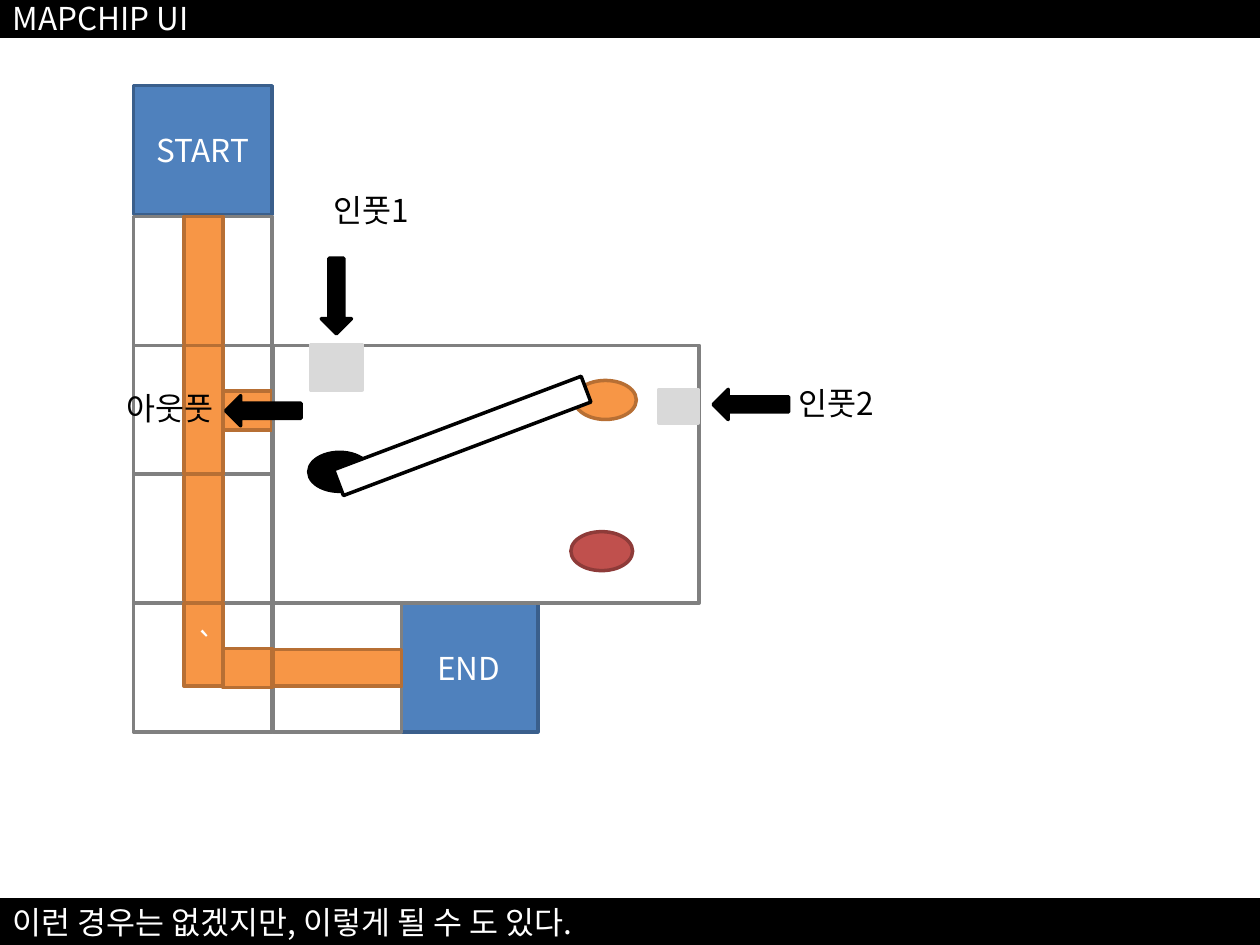
from dataclasses import dataclass

import lxml.etree
import pptx
import pptx.dml.color
import pptx.enum.shapes
import pptx.enum.text
import pptx.oxml.ns
import pptx.util

Pt = pptx.util.Pt
SHAPE = pptx.enum.shapes.MSO_SHAPE
ALIGN = pptx.enum.text.PP_ALIGN
ANCHOR = pptx.enum.text.MSO_ANCHOR
AUTO_SIZE = pptx.enum.text.MSO_AUTO_SIZE

FONT = "Noto Sans CJK KR"
BLACK, WHITE, GREY, LIGHT = "000000", "FFFFFF", "808080", "D9D9D9"
BLUE, DARK_BLUE = "4F81BD", "3A5F8C"
ORANGE, DARK_ORANGE = "F79646", "B76F34"
RED, DARK_RED = "C0504D", "8E3B39"

# Map grid, in points
SLIDE_W, SLIDE_H = 720, 540
LEFT, TOP = 76.3, 123.8
CELL_W, CELL_H = 79.2, 73.6
RIGHT = LEFT + CELL_W
TRACK = 22.3
TRACK_LEFT = LEFT + 28.8
TRACK_RIGHT = TRACK_LEFT + TRACK
BRANCH_DROP = 25.9


@dataclass
class Part:
    left: float
    top: float
    width: float
    height: float
    fill: str
    line: str
    kind: SHAPE = SHAPE.RECTANGLE
    rotation: float = 0
    text: str = ""


@dataclass
class Label:
    text: str
    left: float
    top: float


def color(value: str) -> pptx.dml.color.RGBColor:
    return pptx.dml.color.RGBColor.from_string(value)


def write(frame, text: str, *, ink: str = WHITE, align=ALIGN.LEFT,
          anchor=ANCHOR.MIDDLE, auto_size=AUTO_SIZE.NONE) -> None:
    frame.word_wrap = True
    frame.auto_size = auto_size
    frame.vertical_anchor = anchor
    paragraph = frame.paragraphs[0]
    paragraph.alignment = align
    run = paragraph.add_run()
    run.text = text
    run.font.size = Pt(18)
    run.font.color.rgb = color(ink)
    run.font.name = FONT
    east_asian = lxml.etree.SubElement(run.font._element, pptx.oxml.ns.qn("a:ea"))
    east_asian.set("typeface", FONT)


def paint(shape, fill: str, line: str) -> None:
    shape.fill.solid()
    shape.fill.fore_color.rgb = color(fill)
    shape.line.color.rgb = color(line)
    shape.line.width = Pt(2)


def draw_part(slide, part: Part, align=ALIGN.CENTER) -> None:
    shape = slide.shapes.add_shape(part.kind, Pt(part.left), Pt(part.top),
                                   Pt(part.width), Pt(part.height))
    shape.shadow.inherit = False
    shape.rotation = part.rotation
    paint(shape, part.fill, part.line)
    if part.text:
        write(shape.text_frame, part.text, align=align)


def draw_label(slide, label: Label) -> None:
    box = slide.shapes.add_textbox(Pt(label.left), Pt(label.top), Pt(103), Pt(29))
    write(box.text_frame, label.text, ink=BLACK, anchor=ANCHOR.TOP,
          auto_size=AUTO_SIZE.SHAPE_TO_FIT_TEXT)


def draw_title(slide, text: str) -> None:
    title = slide.shapes.title
    title.left, title.top = Pt(0), Pt(0)
    title.width, title.height = Pt(SLIDE_W), Pt(21)
    paint(title, BLACK, BLACK)
    write(title.text_frame, text)


def row_top(row: int) -> float:
    return TOP + row * CELL_H


def station(left: float, top: float, text: str) -> Part:
    return Part(left, top, CELL_W, CELL_H, BLUE, DARK_BLUE, text=text)


def cell(left: float, row: int, width: float = CELL_W) -> Part:
    return Part(left, row_top(row), width, CELL_H, WHITE, GREY)


def track(left: float, top: float, width: float, height: float, text: str = "") -> Part:
    return Part(left, top, width, height, ORANGE, DARK_ORANGE, text=text)


def upright(row: int, height: float = CELL_H, text: str = "") -> Part:
    return track(TRACK_LEFT, row_top(row), TRACK, height, text)


def branch(row: int) -> Part:
    return track(TRACK_RIGHT, row_top(row) + BRANCH_DROP, RIGHT - TRACK_RIGHT, TRACK)


def terminal(left: float, top: float, width: float, height: float) -> Part:
    return Part(left, top, width, height, LIGHT, LIGHT)


def contact(left: float, top: float, fill: str, line: str) -> Part:
    return Part(left, top, 35.3, 22.3, fill, line, SHAPE.OVAL)


def left_arrow(left: float, top: float) -> Part:
    return Part(left, top, 43.2, 17.3, BLACK, BLACK, SHAPE.LEFT_ARROW)


STATIONS = [station(LEFT, 49, "START"), station(228.2, row_top(3), "END")]

ROUTE = [
    cell(LEFT, 0), upright(0),
    cell(RIGHT + 0.5, 3, CELL_H), track(RIGHT + 0.5, row_top(3) + 26.5, CELL_H, 21),
    cell(LEFT, 2), upright(2),
    cell(LEFT, 3), upright(3, 47.5, "`"), branch(3),
    cell(LEFT, 1), upright(1), branch(1),
]

SWITCH = [
    Part(RIGHT + 0.7, row_top(1), 243.4, 2 * CELL_H, WHITE, GREY),
    terminal(177.5, 196.9, 29.5, 25.9),
    terminal(376.6, 222.5, 22.3, 19.4),
    contact(176.4, 258.5, BLACK, BLACK),
    contact(326.2, 303.8, RED, DARK_RED),
    contact(328.3, 217.4, ORANGE, DARK_ORANGE),
    Part(188.6, 241.2, 151.2, 15.8, WHITE, BLACK, rotation=339.3),
]

ARROWS = [
    Part(183.6, 147.6, 17.3, 43.2, BLACK, BLACK, SHAPE.DOWN_ARROW),
    left_arrow(407.5, 222.5),
    left_arrow(128.9, 226.1),
]

LABELS = [Label("인풋1", 183.6, 105.8), Label("인풋2", 449.3, 216),
          Label("아웃풋", 65.5, 218.9)]


def main() -> None:
    deck = pptx.Presentation()
    deck.slide_width, deck.slide_height = Pt(SLIDE_W), Pt(SLIDE_H)
    slide = deck.slides.add_slide(deck.slide_layouts[5])

    # Title and caption bars
    draw_title(slide, "MAPCHIP UI")
    caption = Part(0, 514, SLIDE_W, 26, BLACK, BLACK,
                   text="이런 경우는 없겠지만, 이렇게 될 수 도 있다.")
    draw_part(slide, caption, align=ALIGN.LEFT)

    # Map, switch and signal arrows, from back to front
    for part in STATIONS + ROUTE + SWITCH + ARROWS:
        draw_part(slide, part)

    # Signal names
    for label in LABELS:
        draw_label(slide, label)

    deck.save("out.pptx")


if __name__ == "__main__":
    main()
